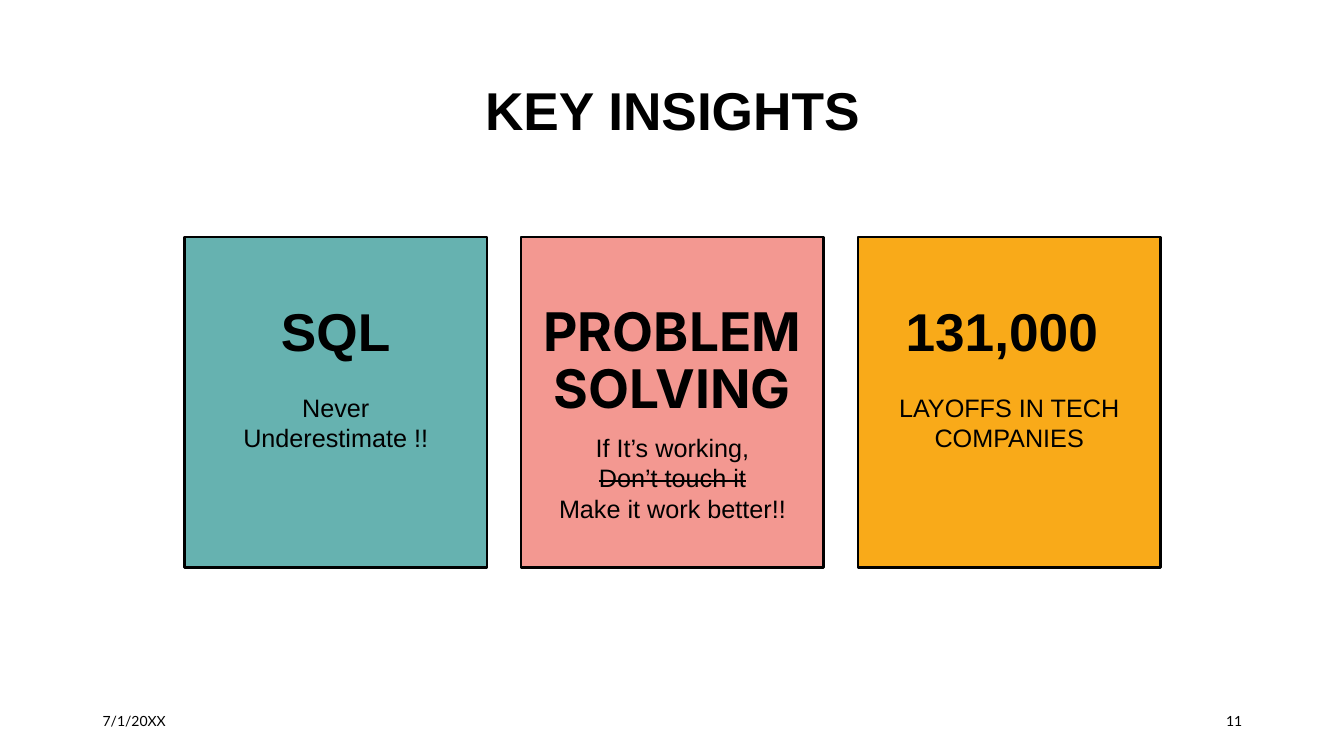
import pptx
import pptx.util
import pptx.dml.color
import pptx.enum.shapes
import pptx.enum.text

PX = 9144  # 100 px to the inch
COLORS = {"ink": "000000", "paper": "FFFFFF", "teal": "66B2B0",
          "pink": "F39891", "amber": "F9AA19"}
ALIGN = pptx.enum.text.PP_ALIGN
ANCHOR = pptx.enum.text.MSO_ANCHOR


def rgb(name):
    return pptx.dml.color.RGBColor.from_string(COLORS[name])


def write(sp, box, lines, size, font="Arial", bold=False, align=ALIGN.CENTER,
          anchor=ANCHOR.TOP, spacing=1.0, insets=(10, 5, 10, 5), struck=()):
    """Place a shape and fill it with one paragraph per line."""
    sp.left, sp.top, sp.width, sp.height = [v * PX for v in box]
    tf = sp.text_frame
    tf.word_wrap = True
    tf.auto_size = pptx.enum.text.MSO_AUTO_SIZE.NONE
    tf.vertical_anchor = anchor
    tf.margin_left, tf.margin_top, tf.margin_right, tf.margin_bottom = [
        v * PX for v in insets]
    for i, line in enumerate(lines):
        p = tf.add_paragraph() if i else tf.paragraphs[0]
        p.alignment = align
        p.line_spacing = spacing
        p.space_before = pptx.util.Pt(0)
        r = p.add_run()
        r.text = line
        r.font.name = font
        r.font.size = pptx.util.Pt(size)
        r.font.bold = bold
        r.font.color.rgb = rgb("ink")
        if line in struck:
            r._r.get_or_add_rPr().set("strike", "sngStrike")


prs = pptx.Presentation()
prs.slide_width, prs.slide_height = 1333 * PX, 750 * PX
s = prs.slides.add_slide(prs.slide_layouts[5])
s.background.fill.solid()
s.background.fill.fore_color.rgb = rgb("paper")

# Title
write(s.shapes.title, (92, 40, 1150, 145), ["KEY INSIGHTS"], 38, bold=True,
      anchor=ANCHOR.MIDDLE, spacing=0.9)

# Cards: fill, heading, heading font, caption, caption inset, top and height
cards = [
    ("teal", ["SQL"], "Arial", ["Never Underestimate !!"], 25, 384, 80),
    ("pink", ["PROBLEM", "SOLVING"], "Inter",
     ["If It’s working,", "Don’t touch it", "Make it work better!!"], 0, 424, 120),
    ("amber", ["131,000 "], "Arial", ["LAYOFFS IN TECH COMPANIES"], 25, 384, 80),
]
CARD_LEFT, CARD_STEP, CARD_W = 183, 334, 300
for i, (fill, heading, font, caption, inset, top, height) in enumerate(cards):
    left = CARD_LEFT + i * CARD_STEP
    sp = s.shapes.add_shape(pptx.enum.shapes.MSO_SHAPE.RECTANGLE, 0, 0, PX, PX)
    sp.shadow.inherit = False
    sp.fill.solid()
    sp.fill.fore_color.rgb = rgb(fill)
    sp.line.color.rgb = rgb("ink")
    sp.line.width = pptx.util.Pt(1.75)
    write(sp, (left, 235, CARD_W, 328), heading, 38, font, bold=True,
          spacing=0.9, insets=(0, 68, 0, 0))
    write(s.shapes.add_textbox(0, 0, PX, PX),
          (left + inset, top, CARD_W - 2 * inset, height), caption, 18,
          struck=("Don’t touch it",))

# Footer: date and slide number
for left, text, align in [(92, "7/1/20XX", ALIGN.LEFT), (942, "11", ALIGN.RIGHT)]:
    write(s.shapes.add_textbox(0, 0, PX, PX), (left, 695, 300, 40), [text], 10,
          "Lato", align=align, anchor=ANCHOR.MIDDLE)

prs.save("out.pptx")
